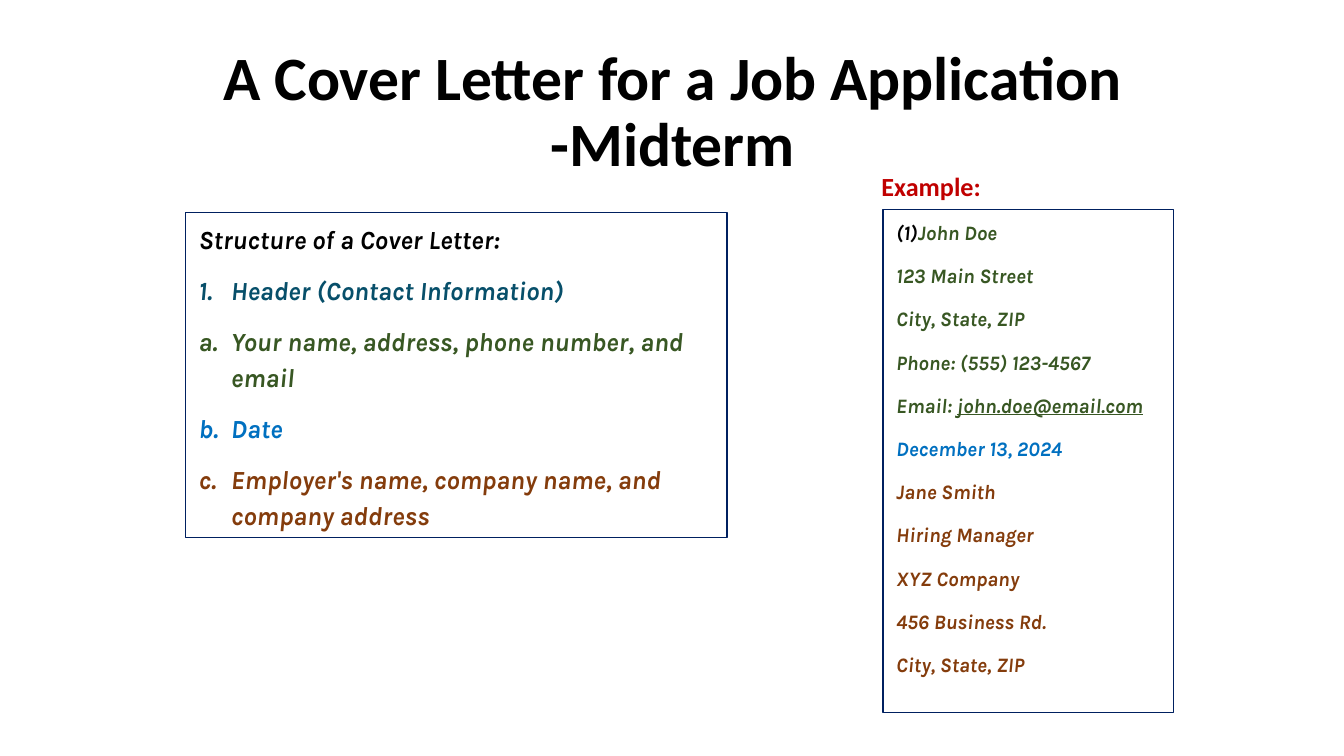
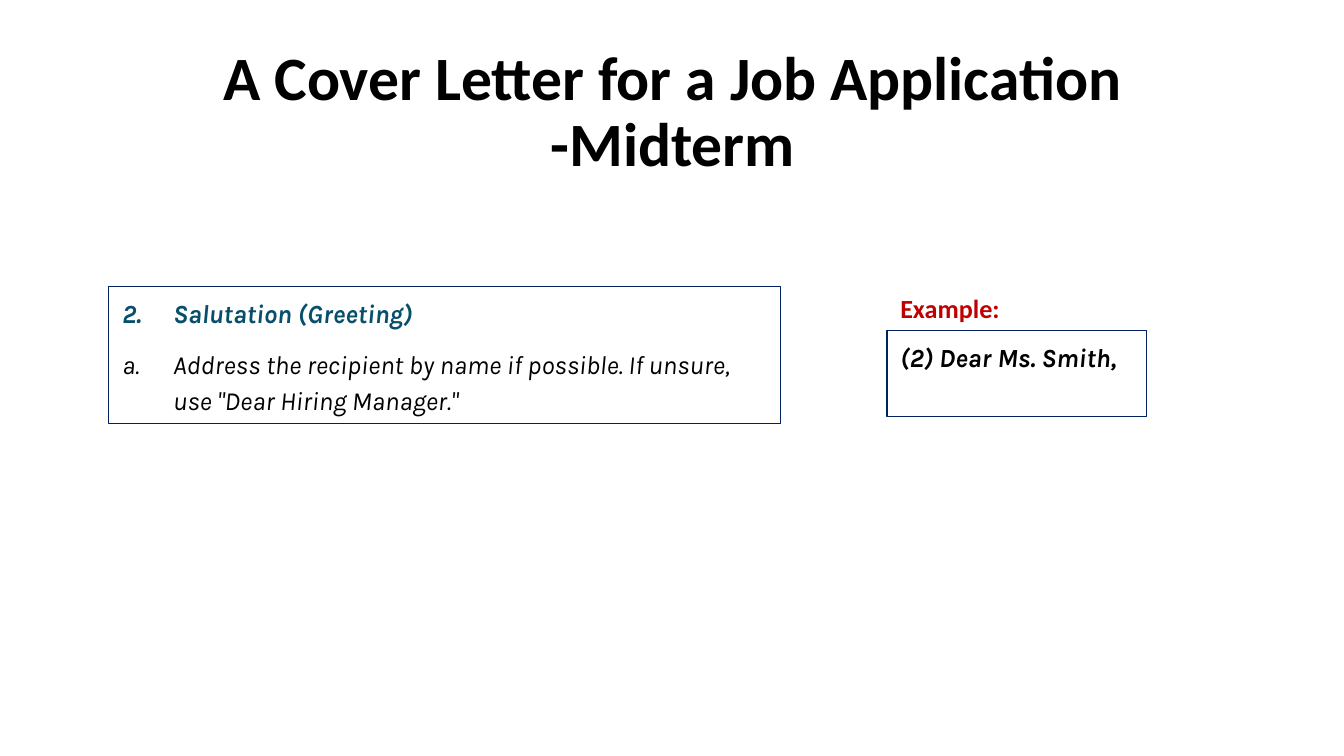
"""Build two slides on the structure of a cover letter, each with a worked example."""
from lxml import etree
from pptx import Presentation
from pptx.dml.color import RGBColor
from pptx.enum import shapes, text
from pptx.oxml import ns
from pptx.util import Inches, Pt

THEME = {
    "black": "000000", "teal": "074F6A", "green": "385723", "blue": "0070C0",
    "brown": "843C0C", "red": "C00000", "border": "002060",
    "heading_font": "Calibri", "body_font": "Karla",
    "title_size": 33, "body_size": 14, "letter_size": 11, "border_width": 0.75,
}
SLIDE_WIDTH = Inches(10)
SLIDE_HEIGHT = SLIDE_WIDTH * 9 // 16
TITLE = "A Cover Letter for a Job Application -Midterm"
TITLE_BOX = (0.69, 0.3, 8.63, 1.09)
LABEL = "Example:"
LABEL_SIZE = (1.01, 0.34)
BODY = {"line_spacing": 1.15, "space_after": Pt(8)}
JUSTIFIED = {**BODY, "alignment": text.PP_ALIGN.JUSTIFY}

NUMBER, LETTER = "arabicPeriod", "alphaLcPeriod"

SLIDES = [
    {
        "outline_box": (1.38, 1.58, 4.03, 2.42),
        "indent": 0.24,
        "outline": [
            ("Structure of a Cover Letter:", "black", True, None),
            ("Header (Contact Information)", "teal", True, (NUMBER, 1)),
            ("Your name, address, phone number, and email", "green", True, (LETTER, 1)),
            ("Date", "blue", True, (LETTER, 2)),
            ("Employer's name, company name, and company address", "brown", True, (LETTER, 3)),
        ],
        "label_at": (6.46, 1.22),
        "example_box": (6.57, 1.56, 2.16, 3.74),
        "example_size": "letter_size",
        "example": [
            [("(1)", "black"), ("John Doe", "green")],
            [("123 Main Street", "green")],
            [("City, State, ZIP", "green")],
            [("Phone: (555) 123-4567", "green")],
            [("Email: ", "green"), ("john.doe@email.com", "green", True)],
            [("December 13, 2024", "blue")],
            [("Jane Smith", "brown")],
            [("Hiring Manager", "brown")],
            [("XYZ Company", "brown")],
            [("456 Business Rd.", "brown")],
            [("City, State, ZIP", "brown")],
        ],
    },
    {
        "outline_box": (0.81, 2.13, 5, 1.02),
        "indent": 0.38,
        "outline": [
            ("Salutation (Greeting)", "teal", True, (NUMBER, 2)),
            ("Address the recipient by name if possible. If unsure, "
             "use \"Dear Hiring Manager.\"", "black", False, (LETTER, 1)),
        ],
        "label_at": (6.6, 2.13),
        "example_box": (6.6, 2.46, 1.93, 0.64),
        "example_size": "body_size",
        "example": [[("(2) Dear Ms. Smith,", "black")]],
    },
]


def apply(target, values):
    for name, value in values.items():
        setattr(target, name, value)


def color(name):
    return RGBColor.from_string(THEME[name])


def prepare_frame(frame, anchor=text.MSO_ANCHOR.TOP):
    apply(frame, {
        "word_wrap": True, "vertical_anchor": anchor,
        "margin_left": Inches(0.1), "margin_right": Inches(0.1),
        "margin_top": Inches(0.05), "margin_bottom": Inches(0.05),
    })
    return frame


def add_frame(slide, box, anchor=text.MSO_ANCHOR.TOP):
    return prepare_frame(slide.shapes.add_textbox(*map(Inches, box)).text_frame, anchor)


def add_bordered_frame(slide, box):
    panel = slide.shapes.add_shape(shapes.MSO_SHAPE.RECTANGLE, *map(Inches, box))
    panel.shadow.inherit = False
    panel.fill.background()
    panel.line.color.rgb = color("border")
    panel.line.width = Pt(THEME["border_width"])
    return prepare_frame(panel.text_frame)


def add_paragraph(frame, index, layout):
    paragraph = frame.paragraphs[0] if index == 0 else frame.add_paragraph()
    apply(paragraph, {"alignment": text.PP_ALIGN.LEFT, **layout})
    return paragraph


def add_run(paragraph, words, color_name, size, font="body_font", **style):
    run = paragraph.add_run()
    run.text = words
    apply(run.font, {"name": THEME[font], "size": Pt(THEME[size]), "bold": True, **style})
    run.font.color.rgb = color(color_name)


def number_paragraph(paragraph, scheme, start, color_name, indent):
    properties = paragraph._p.get_or_add_pPr()
    properties.set("marL", str(Inches(indent)))
    properties.set("indent", str(-Inches(indent)))
    marker_color = etree.SubElement(properties, ns.qn("a:buClr"))
    etree.SubElement(marker_color, ns.qn("a:srgbClr"), val=THEME[color_name])
    etree.SubElement(properties, ns.qn("a:buFont"), typeface=THEME["body_font"])
    etree.SubElement(properties, ns.qn("a:buAutoNum"), type=scheme, startAt=str(start))


def add_title(slide):
    frame = add_frame(slide, TITLE_BOX, text.MSO_ANCHOR.MIDDLE)
    paragraph = add_paragraph(
        frame, 0, {"alignment": text.PP_ALIGN.CENTER, "line_spacing": 0.9})
    add_run(paragraph, TITLE, "black", "title_size", "heading_font")


def add_outline(slide, content):
    frame = add_bordered_frame(slide, content["outline_box"])
    for index, (words, color_name, bold, numbering) in enumerate(content["outline"]):
        paragraph = add_paragraph(frame, index, BODY)
        if numbering:
            number_paragraph(paragraph, *numbering, color_name, content["indent"])
        add_run(paragraph, words, color_name, "body_size", bold=bold, italic=True)


def add_example(slide, content):
    frame = add_bordered_frame(slide, content["example_box"])
    for index, pieces in enumerate(content["example"]):
        paragraph = add_paragraph(frame, index, JUSTIFIED)
        for words, color_name, *underline in pieces:
            add_run(paragraph, words, color_name, content["example_size"],
                    italic=True, underline=bool(underline))
    label = add_frame(slide, content["label_at"] + LABEL_SIZE)
    add_run(add_paragraph(label, 0, {}), LABEL, "red", "body_size", "heading_font")


def main():
    deck = Presentation()
    deck.slide_width, deck.slide_height = SLIDE_WIDTH, SLIDE_HEIGHT
    for content in SLIDES:
        slide = deck.slides.add_slide(deck.slide_layouts[6])
        add_title(slide)
        add_outline(slide, content)
        add_example(slide, content)
    deck.save("out.pptx")


if __name__ == "__main__":
    main()
